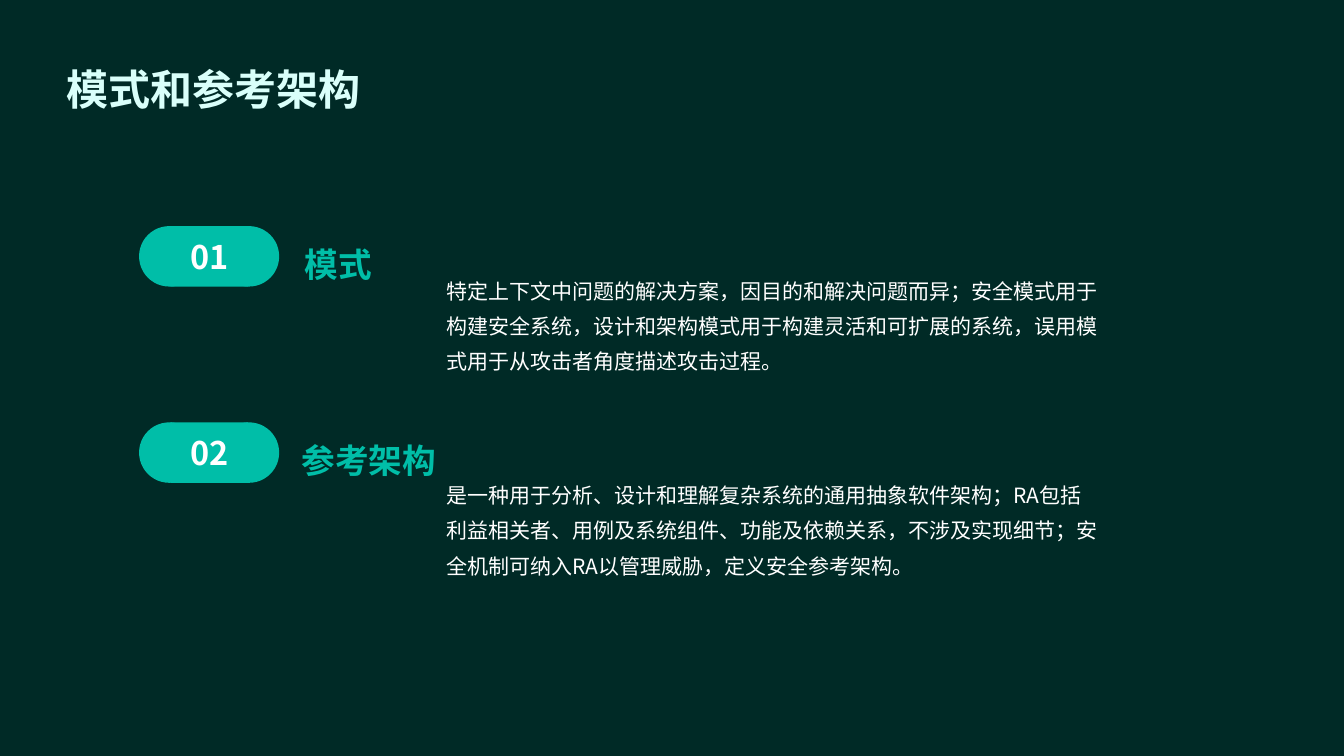
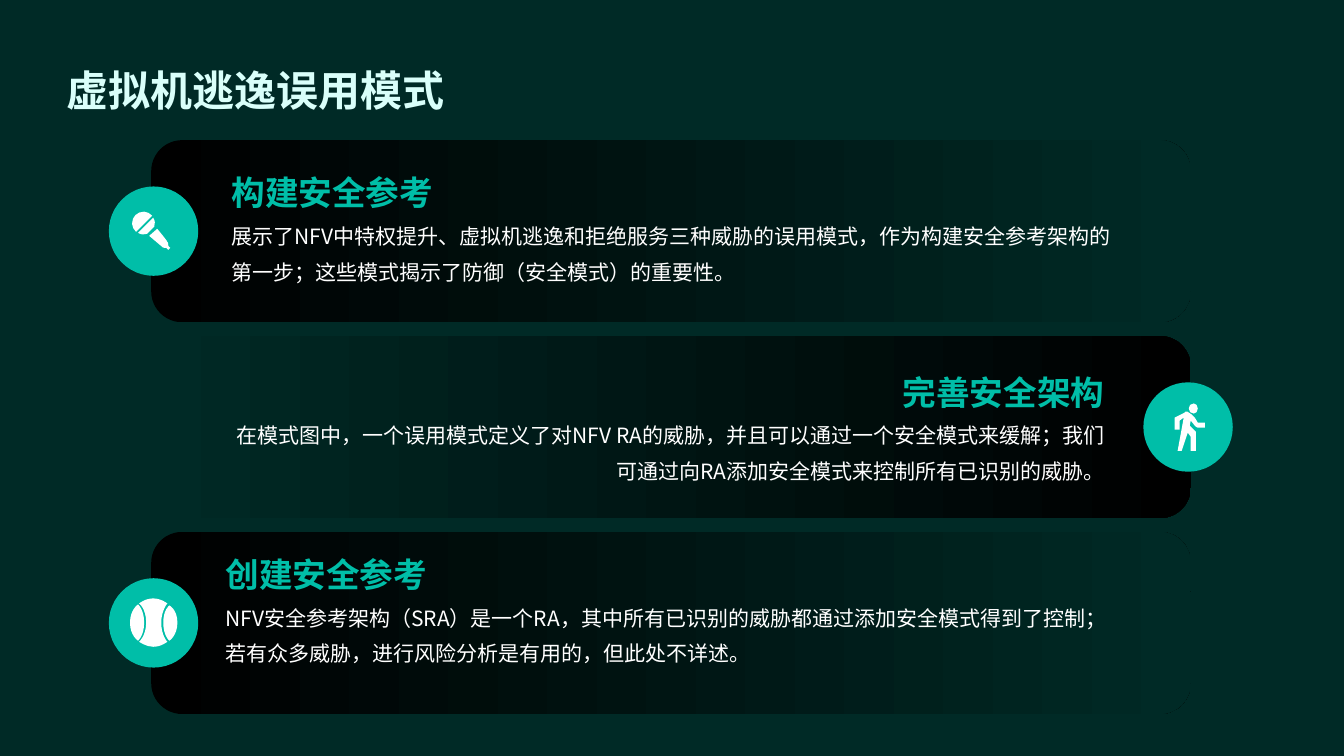
from lxml.etree import SubElement
from pptx import Presentation
from pptx.dml.color import RGBColor
from pptx.enum.shapes import MSO_SHAPE
from pptx.enum.text import MSO_ANCHOR, MSO_AUTO_SIZE, PP_ALIGN
from pptx.oxml.ns import qn
from pptx.util import Inches, Pt

COLORS = {"ground": "002A26", "accent": "00BEA8", "title": "D9FFFA",
          "white": "FFFFFF", "black": "000000"}
RGB = {name: RGBColor.from_string(value) for name, value in COLORS.items()}
FONT = "Noto Sans CJK SC"
LEFT, RIGHT, CENTER = PP_ALIGN.LEFT, PP_ALIGN.RIGHT, PP_ALIGN.CENTER
TOP, MIDDLE = MSO_ANCHOR.TOP, MSO_ANCHOR.MIDDLE

# Text margins in inches: left, top, right, bottom
WIDE = (0.14, 0.14, 0.06, 0.14)
SLIM = (0.12, 0.06, 0.12, 0.06)
PLAIN = (0.1, 0.05, 0.1, 0.05)

prs = Presentation()
prs.slide_width, prs.slide_height = Inches(13.33), Inches(7.5)

# Grid shared by both slides: 160 columns by 90 rows
COLUMN, ROW = prs.slide_width / 160, prs.slide_height / 90
TITLE_AREA = (6.24, 3.48, 147.48, 12)

# Shared background
prs.slide_master.background.fill.solid()
prs.slide_master.background.fill.fore_color.rgb = RGB["ground"]


def cells(left, top, width, height):
    """Turn columns and rows of the grid into lengths."""
    return [round(left * COLUMN), round(top * ROW),
            round(width * COLUMN), round(height * ROW)]


def write(shape, text, size, color, bold=False, spacing=1.4,
          align=LEFT, anchor=TOP, margins=WIDE):
    frame = shape.text_frame
    frame.word_wrap = True
    frame.auto_size = MSO_AUTO_SIZE.NONE
    frame.vertical_anchor = anchor
    (frame.margin_left, frame.margin_top,
     frame.margin_right, frame.margin_bottom) = map(Inches, margins)
    paragraph = frame.paragraphs[0]
    paragraph.alignment = align
    paragraph.line_spacing = spacing
    run = paragraph.add_run()
    run.text = text
    run.font.name, run.font.size, run.font.bold = FONT, Pt(size), bold
    run.font.color.rgb = RGB[color]
    SubElement(run.font._element, qn("a:ea")).set("typeface", FONT)


# Slides and their titles
slides = []
for title, anchor in (("模式和参考架构", TOP), ("虚拟机逃逸误用模式", MIDDLE)):
    slide = prs.slides.add_slide(prs.slide_layouts[5])
    heading = slide.shapes.title
    heading.left, heading.top, heading.width, heading.height = cells(*TITLE_AREA)
    write(heading, title, 30, "title", bold=True, anchor=anchor)
    slides.append(slide)
concepts, misuse = [slide.shapes for slide in slides]

# Slide 1: numbered concepts (number, term, term column, explanation row, explanation)
CONCEPTS = [
    ("01", "模式", 34.6, 30.24,
     "特定上下文中问题的解决方案，因目的和解决问题而异；安全模式用于构建安全系统，"
     "设计和架构模式用于构建灵活和可扩展的系统，误用模式用于从攻击者角度描述攻击过程。"),
    ("02", "参考架构", 34.24, 54.56,
     "是一种用于分析、设计和理解复杂系统的通用抽象软件架构；RA包括利益相关者、用例及系统组件、"
     "功能及依赖关系，不涉及实现细节；安全机制可纳入RA以管理威胁，定义安全参考架构。"),
]
# Number pill: a bar with a round end on either side (kind, column, width)
PILL = [(MSO_SHAPE.RECTANGLE, 20.28, 9.24),
        (MSO_SHAPE.OVAL, 26.04, 7.2), (MSO_SHAPE.OVAL, 16.56, 7.2)]
for index, (number, term, term_column, text_row, explanation) in enumerate(CONCEPTS):
    row = 26.92 + index * 23.36
    for kind, column, width in PILL:
        piece = concepts.add_shape(kind, *cells(column, row, width, 7.2))
        piece.shadow.inherit = False
        piece.fill.solid()
        piece.fill.fore_color.rgb = RGB["accent"]
        piece.line.fill.background()
    write(concepts.add_textbox(*cells(19.92, row + 0.5, 10.08, 6.24)), number, 23.2,
          "white", bold=True, spacing=1, align=CENTER, anchor=MIDDLE, margins=PLAIN)
    write(concepts.add_textbox(*cells(term_column, row - 1, 82.56, 9.12)),
          term, 24, "accent", bold=True, anchor=MIDDLE)
    write(concepts.add_textbox(*cells(51.48, text_row, 80.4, 16.32)),
          explanation, 15, "white")

# Icon outlines in hundredths of an inch from the badge corner:
# a pair is a line end, six numbers are a curve
MICROPHONE = [
    [(45, 40), (46, 37, 46, 34, 44, 31), (44, 31, 29, 46, 29, 46),
     (32, 48, 35, 48, 38, 47), (38, 47, 45, 40, 45, 40)],
    [(43, 29), (41, 27, 38, 25, 35, 25), (28, 25, 23, 30, 23, 37),
     (23, 40, 25, 43, 27, 45), (27, 45, 43, 29, 43, 29)],
    [(59, 59), (59, 59, 59, 55, 58, 55), (58, 54, 48, 42, 48, 42), (40, 49),
     (53, 60), (53, 61, 57, 61, 57, 61), (59, 63), (61, 61), (59, 59)],
]
WALKER = [
    [(47, 38), (51, 43), (52, 44, 53, 45, 54, 45), (61, 45), (61, 40), (54, 40),
     (51, 35), (50, 34, 49, 33, 48, 32), (48, 32), (45, 30), (44, 29, 43, 29, 43, 29),
     (42, 29, 41, 29, 41, 30), (41, 30), (31, 35), (31, 47), (36, 47), (36, 38),
     (40, 35), (34, 68), (38, 68), (44, 50), (47, 54), (47, 68), (52, 68), (52, 49),
     (46, 43), (47, 38)],
    [(50, 31), (52, 31, 54, 29, 54, 26), (54, 23, 52, 21, 50, 21), (50, 21),
     (47, 21, 45, 23, 45, 26), (45, 29, 47, 31, 50, 31), (50, 31)],
]
BALL = [
    [(52, 44), (52, 32, 58, 25, 58, 25), (58, 25, 52, 20, 44, 20),
     (36, 20, 30, 25, 30, 25), (30, 25, 37, 30, 37, 44), (37, 57, 30, 63, 30, 63),
     (30, 63, 37, 68, 44, 68), (52, 68, 58, 63, 58, 63), (58, 63, 52, 57, 52, 44)],
    [(29, 26), (29, 26, 21, 31, 21, 44), (21, 57, 29, 62, 29, 62),
     (29, 62, 35, 57, 35, 44), (35, 31, 29, 26, 29, 26)],
    [(60, 27), (60, 27, 54, 31, 54, 44), (54, 57, 60, 62, 60, 62),
     (60, 62, 68, 57, 68, 44), (68, 31, 60, 27, 60, 27)],
]

# Slide 2: cards (heading, heading column, heading row, side of the badge,
# icon, left, top and size of the icon's frame in the badge, text)
CARDS = [
    ("构建安全参考", 26.12, 18.72, LEFT, MICROPHONE, (20, 22, 44),
     "展示了NFV中特权提升、虚拟机逃逸和拒绝服务三种威胁的误用模式，"
     "作为构建安全参考架构的第一步；这些模式揭示了防御（安全模式）的重要性。"),
    ("完善安全架构", 25.28, 42.42, RIGHT, WALKER, (22, 21, 46),
     "在模式图中，一个误用模式定义了对NFV RA的威胁，并且可以通过一个安全模式来缓解；"
     "我们可通过向RA添加安全模式来控制所有已识别的威胁。"),
    ("创建安全参考", 25.4, 64.14, LEFT, BALL, (14, 14, 61),
     "NFV安全参考架构（SRA）是一个RA，其中所有已识别的威胁都通过添加安全模式得到了控制；"
     "若有众多威胁，进行风险分析是有用的，但此处不详述。"),
]
CARD_HEIGHT, BADGE = 21.68, 10.64
for index, (step, column, row, side, icon, icon_frame, text) in enumerate(CARDS):
    # Card fading away from its badge
    card_row = 16.68 + index * 23.32
    card = misuse.add_shape(MSO_SHAPE.ROUNDED_RECTANGLE,
                            *cells(18, card_row, 123.76, CARD_HEIGHT))
    card.adjustments[0] = 0.17
    card.shadow.inherit = False
    card.line.fill.background()
    card.fill.gradient()
    card.fill.gradient_angle = 0
    fade = ("black", "ground") if side == LEFT else ("ground", "black")
    for stop, color in zip(card.fill.gradient_stops, fade):
        stop.color.rgb = RGB[color]

    # Badge on the card's edge
    badge = misuse.add_shape(
        MSO_SHAPE.OVAL, *cells(12.96 if side == LEFT else 136.12,
                               card_row + (CARD_HEIGHT - BADGE) / 2, BADGE, BADGE))

    # Icon frame, whose outline is then redrawn with true curves
    inset_x, inset_y, size = icon_frame
    builder = misuse.build_freeform(0, 0, scale=Inches(0.01))
    builder.add_line_segments([(size, 0), (size, size), (0, size)], close=True)
    symbol = builder.convert_to_shape(badge.left + Inches(inset_x / 100),
                                      badge.top + Inches(inset_y / 100))
    outline = symbol._element.find(".//" + qn("a:path"))
    for element in list(outline):
        outline.remove(element)
    outline.set("w", str(size))
    outline.set("h", str(size))
    for contour in icon:
        for order, numbers in enumerate(contour):
            tag = "a:moveTo" if order == 0 else "a:lnTo" if len(numbers) == 2 else "a:cubicBezTo"
            segment = SubElement(outline, qn(tag))
            for x, y in zip(numbers[::2], numbers[1::2]):
                point = SubElement(segment, qn("a:pt"))
                point.set("x", str(x - inset_x))
                point.set("y", str(y - inset_y))
        SubElement(outline, qn("a:close"))

    for part, color in ((badge, "accent"), (symbol, "white")):
        part.shadow.inherit = False
        part.fill.solid()
        part.fill.fore_color.rgb = RGB[color]
        part.line.fill.background()

    # Heading and text
    write(misuse.add_textbox(*cells(column, row, 107.64, 7.44)), step, 24, "accent",
          bold=True, spacing=1.2, align=side, anchor=MIDDLE, margins=SLIM)
    write(misuse.add_textbox(*cells(column, row + 6, 107.64, 10.2)), text, 15, "white",
          align=side, margins=SLIM)

prs.save("out.pptx")
